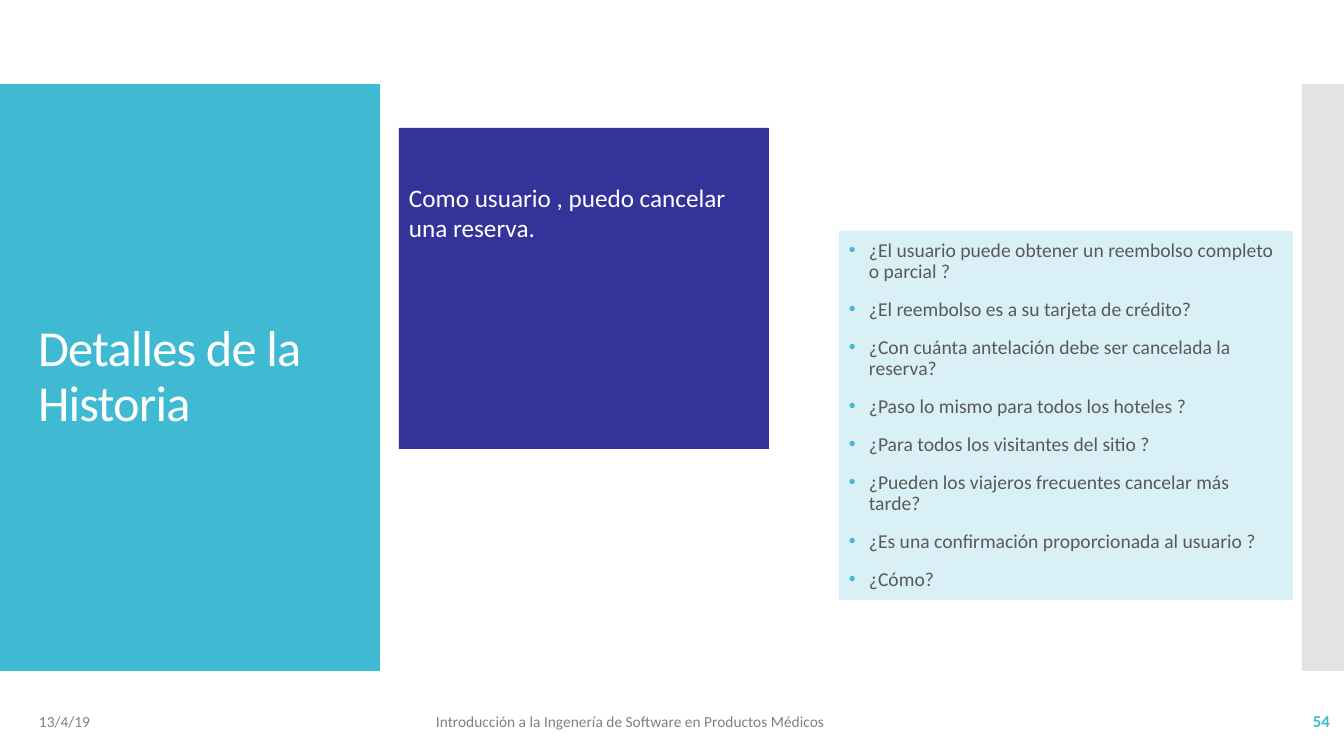
from lxml import etree
from pptx import Presentation
from pptx.dml.color import RGBColor
from pptx.enum.shapes import MSO_SHAPE
from pptx.enum.text import MSO_ANCHOR, MSO_AUTO_SIZE, PP_ALIGN
from pptx.oxml.ns import qn
from pptx.util import Pt

RECT = MSO_SHAPE.RECTANGLE
TOP, MIDDLE = MSO_ANCHOR.TOP, MSO_ANCHOR.MIDDLE
LEFT, RIGHT = PP_ALIGN.LEFT, PP_ALIGN.RIGHT
NO_AUTOFIT = MSO_AUTO_SIZE.NONE

EMU_PER_PX = 914400 / 100.8
FONT = "Calibri"
COLORS = {
    "teal": "40BAD2",
    "pale": "D9F1F6",
    "indigo": "333399",
    "strip": "C8C8C8",
    "body": "595959",
    "footer": "808080",
    "white": "FFFFFF",
}

QUESTIONS = [
    "¿El usuario puede obtener un reembolso completo o parcial ?",
    "¿El reembolso es a su tarjeta de crédito?",
    "¿Con cuánta antelación debe ser cancelada la reserva?",
    "¿Paso lo mismo para todos los hoteles ?",
    "¿Para todos los visitantes del sitio ?",
    "¿Pueden los viajeros frecuentes cancelar más tarde?",
    "¿Es una confirmación proporcionada al usuario ?",
    "¿Cómo?",
]


def px(n):
    return round(n * EMU_PER_PX)


def rgb(name):
    return RGBColor.from_string(COLORS[name])


def add_bullet(p, color, indent):
    pPr = p._p.get_or_add_pPr()
    pPr.set("marL", str(px(indent)))
    pPr.set("indent", str(-px(indent)))
    buClr = etree.SubElement(pPr, qn("a:buClr"))
    etree.SubElement(buClr, qn("a:srgbClr"), val=COLORS[color])
    etree.SubElement(pPr, qn("a:buFont"), typeface="Arial")
    etree.SubElement(pPr, qn("a:buChar"), char="•")


def put_text(sp, lines, size, color, bold=False, align=LEFT, anchor=MIDDLE,
             inset_top=5, line_spacing=None, gap=0, bullet=None, tracking=None):
    tf = sp.text_frame
    tf.word_wrap = True
    tf.auto_size = NO_AUTOFIT
    tf.vertical_anchor = anchor
    tf.margin_left = tf.margin_right = px(10)
    tf.margin_top, tf.margin_bottom = px(inset_top), px(5)
    for i, line in enumerate(lines):
        p = tf.add_paragraph() if i else tf.paragraphs[0]
        if bullet:
            add_bullet(p, bullet, 20)
        p.alignment = align
        p.space_before = Pt(gap if i else 0)
        if line_spacing:
            p.line_spacing = line_spacing
        r = p.add_run()
        r.text = line
        r.font.name, r.font.size, r.font.bold = FONT, Pt(size), bold
        r.font.color.rgb = rgb(color)
        if tracking:
            r.font._element.set("spc", str(tracking))


def add_panel(s, x, y, w, h, color, alpha=None):
    sp = s.shapes.add_shape(RECT, px(x), px(y), px(w), px(h))
    sp.shadow.inherit = False
    sp.fill.solid()
    sp.fill.fore_color.rgb = rgb(color)
    sp.line.fill.background()
    if alpha:
        clr = sp.element.spPr.find(qn("a:solidFill")).find(qn("a:srgbClr"))
        etree.SubElement(clr, qn("a:alpha"), val=str(alpha * 1000))
    return sp


def add_footer(s, x, w, text, **fmt):
    sp = s.shapes.add_textbox(px(x), px(701), px(w), px(40))
    put_text(sp, [text], **fmt)


def add_title(s, x, y, w, h, text):
    sp = s.shapes.title
    sp.left, sp.top, sp.width, sp.height = px(x), px(y), px(w), px(h)
    put_text(sp, [text], size=36, color="white", line_spacing=0.9, tracking=-60)
    # Bring the title in front of its panel
    sp.element.getparent().append(sp.element)


def main():
    prs = Presentation()
    prs.slide_width, prs.slide_height = px(1344), px(756)
    s = prs.slides.add_slide(prs.slide_layouts[5])

    # Side panels and title
    add_panel(s, 0, 84, 380, 587, "teal")
    add_panel(s, 1302, 84, 42, 587, "strip", alpha=50)
    add_title(s, 28, 124, 325, 507, "Detalles de la Historia")

    # Story card
    story = add_panel(s, 399, 128, 370, 321, "indigo")
    put_text(story, ["Como usuario , puedo cancelar una reserva."],
             size=18, color="white", anchor=TOP, inset_top=54)

    # Questions about the story
    questions = add_panel(s, 839, 231, 454, 369, "pale")
    put_text(questions, QUESTIONS, size=14, color="body",
             line_spacing=0.9, gap=12, bullet="teal")

    # Footer
    add_footer(s, 29, 302, "13/4/19", size=11, color="footer")
    add_footer(s, 426, 651,
               "Introducción a la Ingenería de Software en Productos Médicos",
               size=11, color="footer")
    add_footer(s, 1172, 168, "54", size=12, color="teal", bold=True, align=RIGHT)

    prs.save("out.pptx")


if __name__ == "__main__":
    main()
